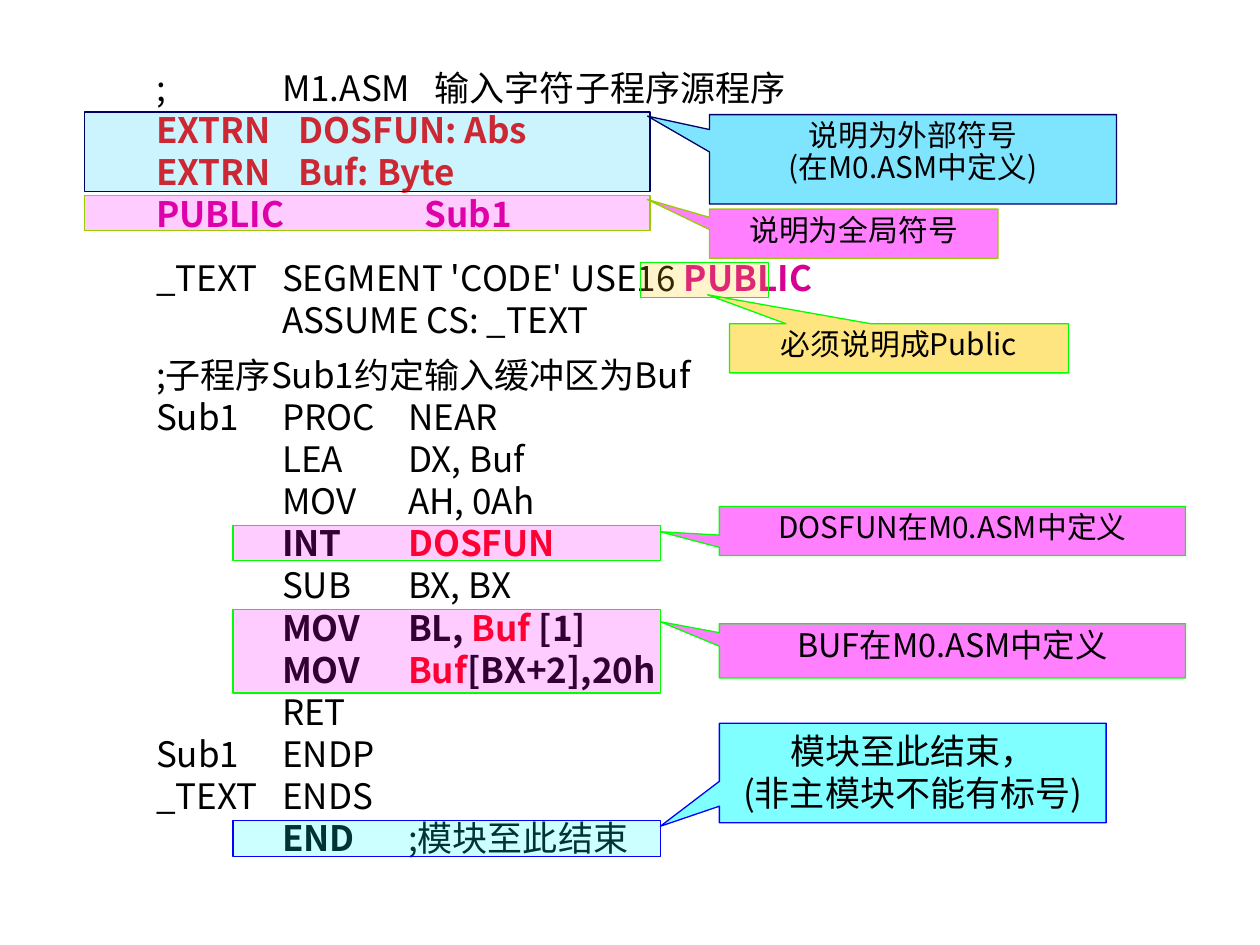
from lxml.etree import SubElement
from pptx import Presentation
from pptx.dml.color import RGBColor
from pptx.enum.shapes import MSO_SHAPE as Preset
from pptx.enum.text import MSO_ANCHOR as Anchor, MSO_AUTO_SIZE as AutoSize, PP_ALIGN as Align
from pptx.oxml.ns import qn
from pptx.util import Pt

FONT = "Noto Sans CJK SC"
COLOURS = {
    "black": "000000", "red": "FF0000", "crimson": "D60093", "navy": "000066",
    "sky": "00CCFF", "magenta": "FF00FF", "olive": "99CC00", "amber": "FFCC00",
    "green": "00FF00", "cyan": "00FFFF", "blue": "0000FF",
}
PLAIN, BOLD = ("black", False), ("black", True)
RED, CRIMSON = ("red", True), ("crimson", True)
TAB_STOPS = (72, 144)

# Each line: runs of (text, style), tab stops, space before
LISTING = [
    ([(";\tM1.ASM\t输入字符子程序源程序", PLAIN)], (72, 159.3), 0),
    ([("EXTRN\tDOSFUN: Abs", RED)], (81.5,), 0),
    ([("EXTRN\tBuf: Byte", RED)], (81.5,), 0),
    ([("PUBLIC\tSub1", CRIMSON)], (153.5,), 0),
    ([("_TEXT\tSEGMENT 'CODE' USE16 ", PLAIN), ("PUBLIC", CRIMSON)], TAB_STOPS, 12.5),
    ([("\tASSUME CS: _TEXT", PLAIN)], TAB_STOPS, 0),
    ([(";子程序Sub1约定输入缓冲区为Buf", PLAIN)], TAB_STOPS, 7.5),
    ([("Sub1\tPROC\tNEAR", PLAIN)], TAB_STOPS, 0),
    ([("\tLEA\tDX, Buf", PLAIN)], TAB_STOPS, 0),
    ([("\tMOV\tAH, 0Ah", PLAIN)], TAB_STOPS, 0),
    ([("\tINT\t", BOLD), ("DOSFUN", RED)], TAB_STOPS, 0),
    ([("\tSUB\tBX, BX", PLAIN)], TAB_STOPS, 0),
    ([("\tMOV\tBL, ", BOLD), ("Buf", RED), (" [1]", BOLD)], TAB_STOPS, 0),
    ([("\tMOV\t", BOLD), ("Buf", RED), ("[BX+2],20h", BOLD)], TAB_STOPS, 0),
    ([("\tRET", PLAIN)], TAB_STOPS, 0),
    ([("Sub1\tENDP", PLAIN)], TAB_STOPS, 0),
    ([("_TEXT\tENDS", PLAIN)], TAB_STOPS, 0),
    ([("\tEND\t", BOLD), (";模块至此结束", PLAIN)], TAB_STOPS, 0),
]

# Each note: fill, line, highlight box, callout box, pointer, text lines, size, line spacing
NOTES = [
    ("sky", "navy", (48.2, 64.1, 323.3, 45.4), (405.4, 65.5, 232.6, 51.1),
     (-0.652, -0.483), ["说明为外部符号", "(在M0.ASM中定义)"], 17, 0.9),
    ("magenta", "olive", (48.2, 111.6, 323.3, 20.2), (405.4, 119.5, 164.9, 28.1),
     (-0.716, -0.698), ["说明为全局符号"], 17, 0.9),
    ("amber", "green", (365.8, 149.8, 73.4, 20.2), (416.9, 185, 193.7, 28.1),
     (-0.565, -1.09), ["必须说明成Public"], 17, 0.9),
    ("magenta", "green", (133.2, 300.2, 244.1, 20.2), (411.1, 289.4, 266.4, 28.1),
     (-0.627, 0.015), ["DOSFUN在M0.ASM中定义"], 17, 0.9),
    ("magenta", "green", (133.2, 348.5, 244.1, 47.5), (411.1, 356.4, 266.4, 31),
     (-0.627, -0.537), ["BUF在M0.ASM中定义"], 18.5, 0.9),
    ("cyan", "blue", (133.2, 468.7, 244.1, 20.9), (411.1, 413.3, 221, 56.9),
     (-0.653, 0.535), ["模块至此结束，", "(非主模块不能有标号)"], 20, 1),
]


def colour(name):
    """Return the named colour."""
    return RGBColor.from_string(COLOURS[name])


def set_font(font, size):
    """Set the size and both the Latin and East Asian typeface of a font."""
    font.size = Pt(size)
    font.name = FONT
    SubElement(font._element if hasattr(font, "_element") else font._rPr, qn("a:ea"), typeface=FONT)


def set_style(font, style):
    """Apply a (colour, bold) style to a font."""
    name, font.bold = style
    font.color.rgb = colour(name)


def add_tabs(paragraph, stops):
    """Give a paragraph left tab stops, in points."""
    tab_list = SubElement(paragraph._p.get_or_add_pPr(), qn("a:tabLst"))
    for stop in stops:
        SubElement(tab_list, qn("a:tab"), pos=str(int(Pt(stop))), algn="l")


def write_lines(frame, count):
    """Return the given number of paragraphs of a text frame."""
    return [frame.paragraphs[0]] + [frame.add_paragraph() for _ in range(count - 1)]


def add_listing(slide, box):
    """Place the assembler listing in the box."""
    frame = slide.shapes.add_textbox(*map(Pt, box)).text_frame
    frame.word_wrap = True
    frame.auto_size = AutoSize.SHAPE_TO_FIT_TEXT
    for paragraph, (runs, stops, space) in zip(write_lines(frame, len(LISTING)), LISTING):
        add_tabs(paragraph, stops)
        if space:
            paragraph.space_before = Pt(space)
        set_font(paragraph.font, 20)
        if len(runs) == 1:
            set_style(paragraph.font, runs[0][1])
        for text, style in runs:
            run = paragraph.add_run()
            run.text = text
            if len(runs) > 1:
                set_style(run.font, style)


def add_panel(slide, preset, box, fill, line, opacity):
    """Place a translucent outlined shape in the box and return it."""
    shape = slide.shapes.add_shape(preset, *map(Pt, box))
    shape.shadow.inherit = False
    shape.fill.solid()
    shape.fill.fore_color.rgb = colour(fill)
    solid = shape._element.spPr.find(qn("a:solidFill"))
    SubElement(solid[0], qn("a:alpha"), val=str(opacity * 1000))
    shape.line.color.rgb = colour(line)
    shape.line.width = Pt(0.75)
    return shape


def add_callout(slide, box, fill, line, pointer, lines, size, spacing):
    """Place a callout with centred text in the box."""
    shape = add_panel(slide, Preset.RECTANGULAR_CALLOUT, box, fill, line, 50)
    shape.adjustments[0], shape.adjustments[1] = pointer
    frame = shape.text_frame
    frame.word_wrap = True
    frame.vertical_anchor = Anchor.TOP
    for paragraph, text in zip(write_lines(frame, len(lines)), lines):
        paragraph.alignment = Align.CENTER
        paragraph.line_spacing = spacing
        set_font(paragraph.font, size)
        set_style(paragraph.font, PLAIN)
        paragraph.add_run().text = text


def main():
    """Build the slide and save it."""
    presentation = Presentation()
    presentation.slide_width, presentation.slide_height = Pt(720), Pt(540)
    slide = presentation.slides.add_slide(presentation.slide_layouts[6])
    add_listing(slide, (82.1, 34.6, 396.7, 459.4))
    for fill, line, highlight, box, pointer, lines, size, spacing in NOTES:
        add_panel(slide, Preset.RECTANGLE, highlight, fill, line, 20)
        add_callout(slide, box, fill, line, pointer, lines, size, spacing)
    presentation.save("out.pptx")


if __name__ == "__main__":
    main()
